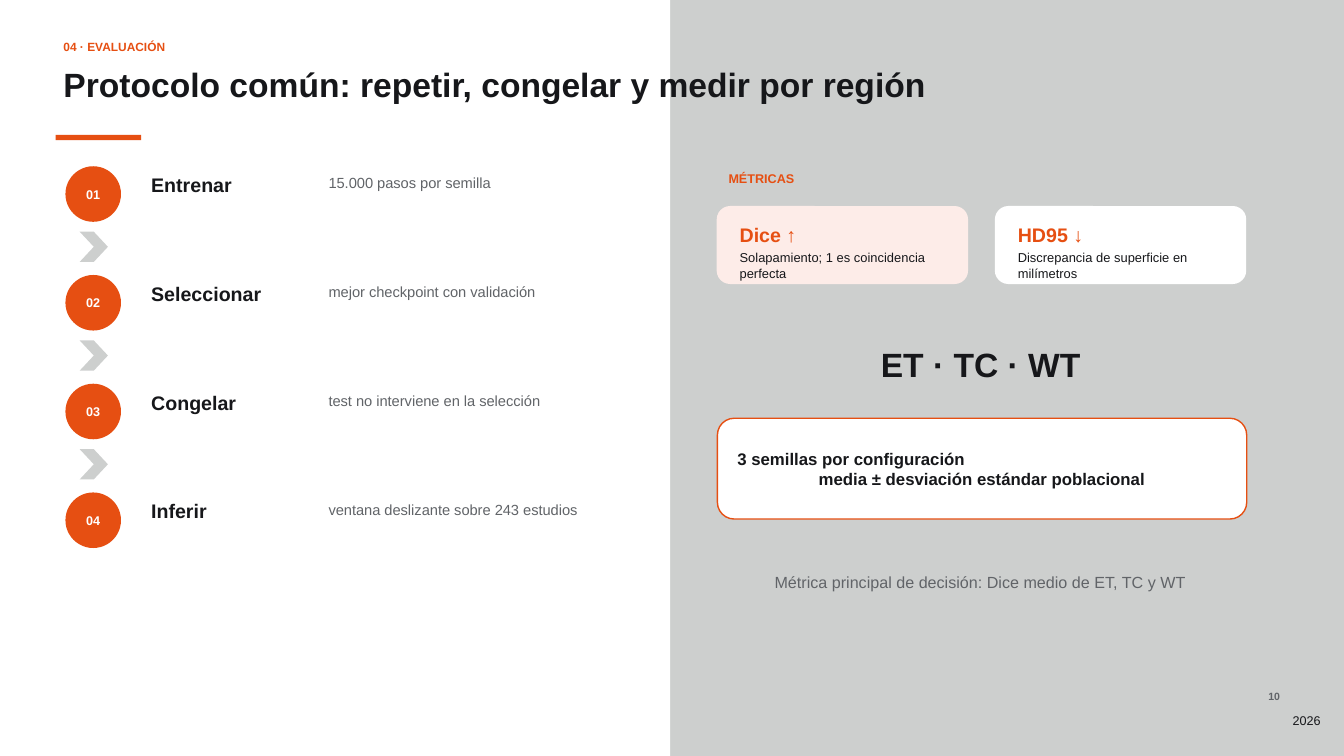
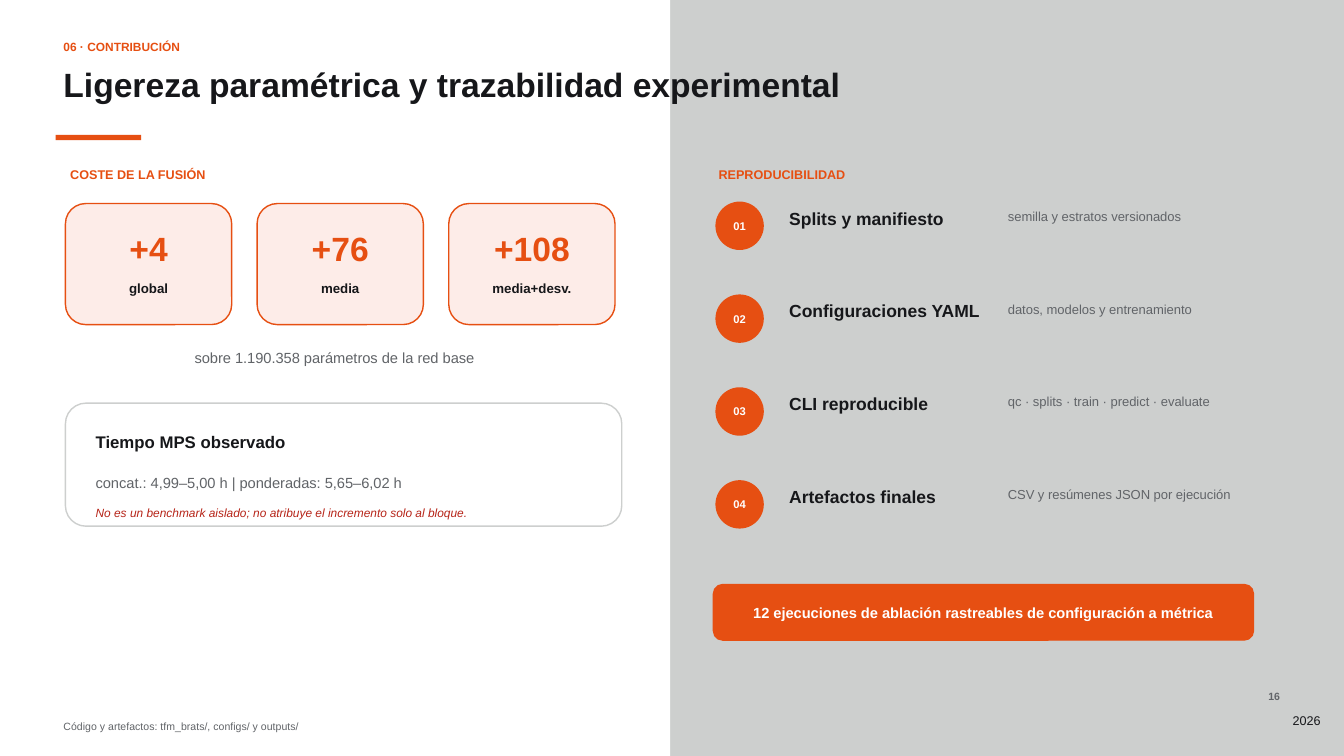
from pptx import Presentation
from pptx.dml.color import RGBColor
from pptx.enum.shapes import MSO_SHAPE
from pptx.enum.text import MSO_ANCHOR, MSO_AUTO_SIZE, PP_ALIGN
from pptx.util import Cm, Pt

FONT = "Arial"
ORANGE, INK, GREY, WHITE = "E64F12", "16171A", "616468", "FFFFFF"
SILVER, BLUSH, RED = "CDCFCE", "FDECE8", "B62418"
LEFT, CENTER, RIGHT = PP_ALIGN.LEFT, PP_ALIGN.CENTER, PP_ALIGN.RIGHT
TOP, MIDDLE = MSO_ANCHOR.TOP, MSO_ANCHOR.MIDDLE

PROTOCOL = {
    "section": "04 · EVALUACIÓN",
    "title": "Protocolo común: repetir, congelar y medir por región",
    "number": "10",
    "steps": [
        ("Entrenar", "15.000 pasos por semilla"),
        ("Seleccionar", "mejor checkpoint con validación"),
        ("Congelar", "test no interviene en la selección"),
        ("Inferir", "ventana deslizante sobre 243 estudios"),
    ],
    "metrics": [
        ("Dice ↑", "Solapamiento; 1 es coincidencia perfecta", BLUSH),
        ("HD95 ↓", "Discrepancia de superficie en milímetros", WHITE),
    ],
    "seeds": ["3 semillas por configuración", "media ± desviación estándar poblacional"],
}
CONTRIBUTION = {
    "section": "06 · CONTRIBUCIÓN",
    "title": "Ligereza paramétrica y trazabilidad experimental",
    "number": "16",
    "costs": [("+4", "global"), ("+76", "media"), ("+108", "media+desv.")],
    "steps": [
        ("Splits y manifiesto", "semilla y estratos versionados"),
        ("Configuraciones YAML", "datos, modelos y entrenamiento"),
        ("CLI reproducible", "qc · splits · train · predict · evaluate"),
        ("Artefactos finales", "CSV y resúmenes JSON por ejecución"),
    ],
}
# Step lists: left edges of number, name and detail, then sizes and spacing
WIDE_STEPS = dict(top=4.19, pitch=2.74, size=1.4, number_pt=9,
                  number_x=1.65, name=(3.61, -0.03, 5.08, 0.71), name_pt=14,
                  detail=(8.08, 0, 7.75, 0.79), detail_pt=10.5)
COMPACT_STEPS = dict(top=5.08, pitch=2.34, size=1.22, number_pt=8,
                     number_x=18.03, name=(19.69, -0.05, 5.38, 0.66), name_pt=12.5,
                     detail=(25.2, -0.03, 6.48, 0.79), detail_pt=9.3)


def color(code):
    return RGBColor.from_string(code)


def write(shape, lines, size, ink, bold=False, italic=False, align=LEFT,
          anchor=TOP, inset=0.2):
    """Fill the shape with (text, alignment) lines or one plain string."""
    frame = shape.text_frame
    frame.word_wrap = True
    frame.vertical_anchor = anchor
    frame.margin_left = frame.margin_right = Cm(inset)
    frame.margin_top = frame.margin_bottom = Cm(inset)
    if isinstance(lines, str):
        lines = [(lines, align)]
    for index, (text, alignment) in enumerate(lines):
        para = frame.paragraphs[0] if index == 0 else frame.add_paragraph()
        para.text = text
        para.alignment = alignment
        font = para.font
        font.name, font.size, font.bold, font.italic = FONT, Pt(size), bold, italic
        font.color.rgb = color(ink)


def add_text(page, place, text, size, ink, **style):
    box = page.shapes.add_textbox(*map(Cm, place))
    write(box, text, size, ink, **style)
    box.text_frame.auto_size = MSO_AUTO_SIZE.SHAPE_TO_FIT_TEXT
    return box


def add_block(page, kind, place, fill, line=None):
    block = page.shapes.add_shape(kind, *map(Cm, place))
    block.shadow.inherit = False
    block.fill.solid()
    block.fill.fore_color.rgb = color(fill)
    if line:
        block.line.color.rgb = color(line)
        block.line.width = Pt(1)
    else:
        block.line.fill.background()
    return block


def move_to_layout(page, shapes):
    """Make shapes drawn on the page part of its layout, behind the rest."""
    tree = page.slide_layout.shapes.element
    for offset, shape in enumerate(shapes):
        shape.element.xpath(".//p:cNvPr")[0].set("id", str(20 + offset))
        tree.insert(2 + offset, shape.element)


def add_page(deck, content):
    page = deck.slides.add_slide(deck.slide_layouts[5])
    title = page.shapes.title
    title.left, title.top, title.width, title.height = map(Cm, (1.4, 1.42, 27.94, 1.22))
    write(title, content["title"], 24, INK, bold=True)
    title.text_frame.auto_size = MSO_AUTO_SIZE.SHAPE_TO_FIT_TEXT
    add_text(page, (1.4, 0.81, 24.9, 0.56), content["section"], 8.5, ORANGE, bold=True)
    add_block(page, MSO_SHAPE.RECTANGLE, (1.4, 3.4, 2.16, 0.13), ORANGE)
    add_text(page, (31.7, 17.22, 0.76, 0.46), content["number"], 7.5, GREY,
             bold=True, align=RIGHT)
    return page


def add_label(page, left, top, text):
    add_text(page, (left, top, 6.6, 0.65), text, 9, ORANGE, bold=True)


def add_steps(page, steps, design):
    for index, (name, detail) in enumerate(steps):
        top = design["top"] + index * design["pitch"]
        size = design["size"]
        circle = add_block(page, MSO_SHAPE.OVAL, (design["number_x"], top, size, size), ORANGE)
        write(circle, f"{index + 1:02d}", design["number_pt"], WHITE, bold=True,
              align=CENTER, anchor=MIDDLE, inset=0)
        for part, text, ink in (("name", name, INK), ("detail", detail, GREY)):
            left, shift, width, height = design[part]
            add_text(page, (left, top + shift, width, height), text,
                     design[part + "_pt"], ink, bold=part == "name")


def build_protocol(page):
    add_steps(page, PROTOCOL["steps"], WIDE_STEPS)
    for index in range(len(PROTOCOL["steps"]) - 1):
        top = WIDE_STEPS["top"] + index * WIDE_STEPS["pitch"] + 1.65
        add_block(page, MSO_SHAPE.CHEVRON, (2.01, top, 0.71, 0.76), SILVER)

    add_label(page, 18.16, 4.11, "MÉTRICAS")
    for index, (name, meaning, fill) in enumerate(PROTOCOL["metrics"]):
        left, top = 18.08 + index * 7.01, 5.21
        add_block(page, MSO_SHAPE.ROUNDED_RECTANGLE, (left, top, 6.3, 1.93), fill, fill)
        add_text(page, (left + 0.36, top + 0.2, 5.59, 0.61), name, 14, ORANGE, bold=True)
        add_text(page, (left + 0.36, top + 0.89, 5.59, 0.69), meaning, 9.2, INK)

    add_text(page, (18.24, 8.51, 12.95, 1.32), "ET · TC · WT", 24, INK, bold=True,
             align=CENTER, anchor=MIDDLE)
    seeds = add_block(page, MSO_SHAPE.ROUNDED_RECTANGLE, (18.08, 10.54, 13.34, 2.54),
                      WHITE, ORANGE)
    write(seeds, list(zip(PROTOCOL["seeds"], (LEFT, CENTER))), 12, INK, bold=True,
          anchor=MIDDLE, inset=0.38)
    add_text(page, (18.16, 13.97, 13.08, 1.4),
             "Métrica principal de decisión: Dice medio de ET, TC y WT", 11.5, GREY,
             align=CENTER, anchor=MIDDLE)


def build_contribution(page):
    add_label(page, 1.57, 4.01, "COSTE DE LA FUSIÓN")
    for index, (value, name) in enumerate(CONTRIBUTION["costs"]):
        left, top = 1.65 + index * 4.83, 5.13
        add_block(page, MSO_SHAPE.ROUNDED_RECTANGLE, (left, top, 4.19, 3.05), BLUSH, ORANGE)
        add_text(page, (left + 0.38, top + 0.41, 3.43, 1.12), value, 24, ORANGE,
                 bold=True, align=CENTER)
        add_text(page, (left + 0.38, top + 1.73, 3.43, 0.61), name, 9.5, INK,
                 bold=True, align=CENTER)
    add_text(page, (1.73, 8.64, 13.41, 0.76), "sobre 1.190.358 parámetros de la red base",
             10.5, GREY, align=CENTER, anchor=MIDDLE)

    add_block(page, MSO_SHAPE.ROUNDED_RECTANGLE, (1.65, 10.16, 14.02, 3.1), WHITE, SILVER)
    add_text(page, (2.21, 10.67, 5.97, 0.71), "Tiempo MPS observado", 12, INK, bold=True)
    add_text(page, (2.21, 11.73, 12.45, 0.71),
             "concat.: 4,99–5,00 h | ponderadas: 5,65–6,02 h", 10.5, GREY)
    add_text(page, (2.21, 12.55, 12.45, 0.56),
             "No es un benchmark aislado; no atribuye el incremento solo al bloque.",
             8.5, RED, italic=True)

    add_label(page, 17.91, 4.01, "REPRODUCIBILIDAD")
    add_steps(page, CONTRIBUTION["steps"], COMPACT_STEPS)
    summary = add_block(page, MSO_SHAPE.ROUNDED_RECTANGLE, (17.98, 14.73, 13.61, 1.4),
                        ORANGE, ORANGE)
    write(summary, "12 ejecuciones de ablación rastreables de configuración a métrica",
          10.5, WHITE, bold=True, align=CENTER, anchor=MIDDLE, inset=0.38)
    add_text(page, (1.4, 17.98, 29.72, 0.41),
             "Código y artefactos: tfm_brats/, configs/ y outputs/", 7.5, GREY)


def main():
    deck = Presentation()
    deck.slide_width, deck.slide_height = Cm(33.87), Cm(19.05)
    backdrop = deck.slide_master.background.fill
    backdrop.solid()
    backdrop.fore_color.rgb = color(SILVER)

    protocol = add_page(deck, PROTOCOL)
    left_half = add_block(protocol, MSO_SHAPE.RECTANGLE, (0, 0, 16.89, 19.05), WHITE)
    year = add_text(protocol, (30.33, 17.78, 2.95, 0.76), "2026", 9, INK,
                    align=RIGHT, anchor=MIDDLE, inset=0)
    move_to_layout(protocol, [left_half, year])

    build_protocol(protocol)
    build_contribution(add_page(deck, CONTRIBUTION))
    deck.save("out.pptx")


if __name__ == "__main__":
    main()
